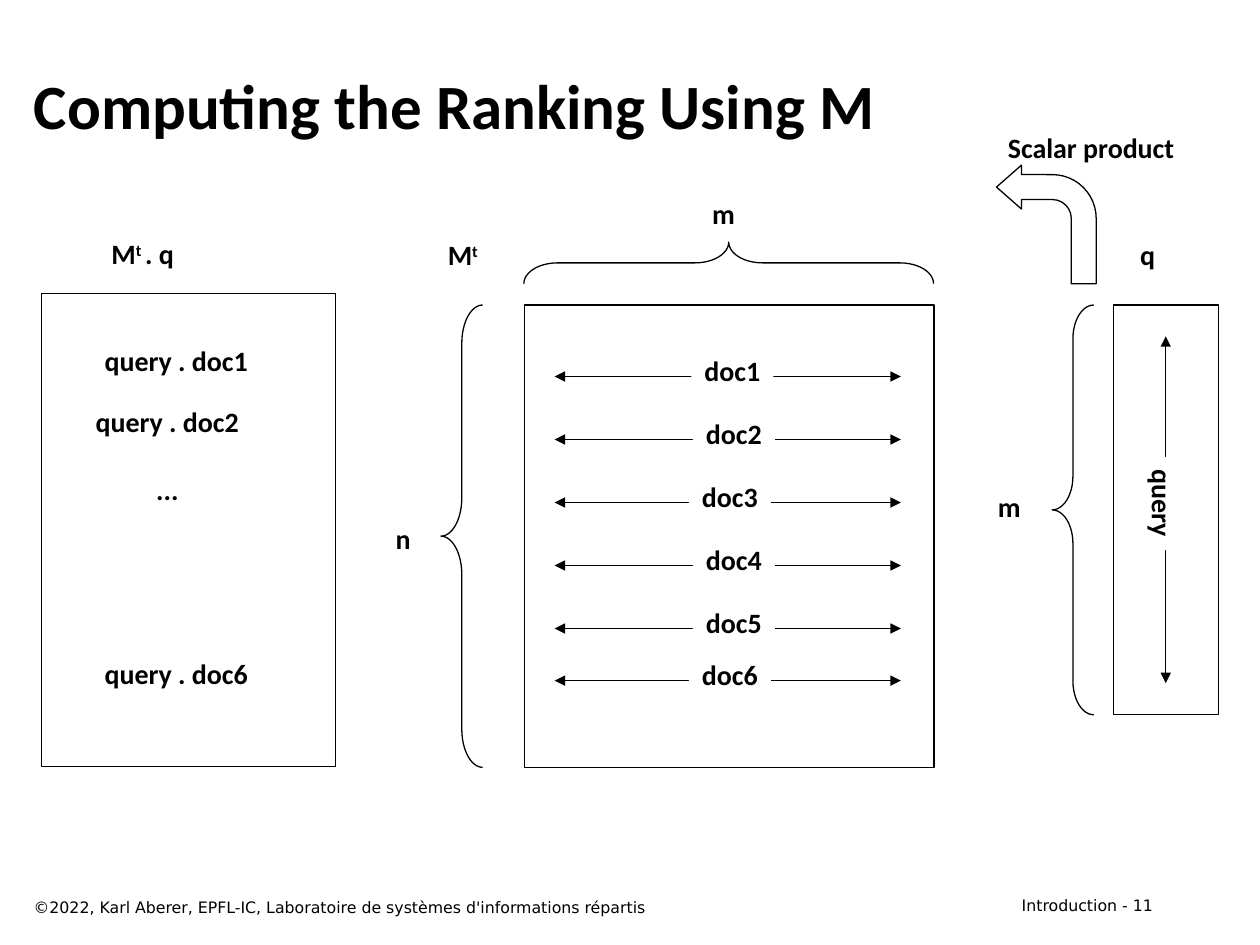
from typing import NamedTuple, Optional

from lxml import etree
from pptx import Presentation
from pptx.dml.color import RGBColor
from pptx.enum.shapes import MSO_CONNECTOR, MSO_SHAPE
from pptx.enum.text import MSO_ANCHOR, PP_ALIGN
from pptx.oxml.ns import qn
from pptx.util import Cm, Pt

RECTANGLE = MSO_SHAPE.RECTANGLE
LEFT_BRACE = MSO_SHAPE.LEFT_BRACE
BENT_ARROW = MSO_SHAPE.BENT_ARROW
STRAIGHT = MSO_CONNECTOR.STRAIGHT
LEFT, CENTER, RIGHT = PP_ALIGN.LEFT, PP_ALIGN.CENTER, PP_ALIGN.RIGHT
MIDDLE = MSO_ANCHOR.MIDDLE

COLORS = {"ink": "000000", "paper": "FFFFFF"}
BODY_FONT, FOOTER_FONT = "Calibri", "DejaVu Sans"
LINE_WIDTH = Pt(0.75)
LABEL_HEIGHT = 0.94
TITLE_ONLY_LAYOUT = 5


class Outline(NamedTuple):
    kind: int
    left: float
    top: float
    width: float
    height: float
    rotation: int = 0
    adjustments: tuple = ()
    flipped: bool = False


class Label(NamedTuple):
    """Text between a pair of ^ marks is superscript."""
    text: str
    left: float
    top: float
    width: float
    height: float = LABEL_HEIGHT
    rotation: int = 0
    fill: Optional[str] = None


class DocumentRow(NamedTuple):
    arrow_y: float
    label_left: float


OUTLINES = [
    Outline(RECTANGLE, 22.45, 6.15, 2.11, 8.26),
    Outline(RECTANGLE, 10.57, 6.15, 8.26, 9.32),
    Outline(RECTANGLE, 0.84, 5.92, 5.92, 9.53),
    Outline(LEFT_BRACE, 21.21, 6.15, 0.84, 8.26, adjustments=(0.81, 0.5)),
    Outline(LEFT_BRACE, 14.27, 1.17, 0.84, 8.26, 90, (0.81, 0.5)),
    Outline(LEFT_BRACE, 8.89, 6.15, 0.84, 9.32, adjustments=(0.92, 0.5)),
    Outline(BENT_ARROW, 20.09, 3.33, 2.01, 2.39,
            adjustments=(0.25, 0.22, 0.25, 0.44), flipped=True),
]

LABELS = [
    Label("query", 22.5, 9.68, 1.88, rotation=90, fill="paper"),
    Label("query . doc1", 1.8, 6.81, 3.51),
    Label("query . doc2\n...", 1.52, 8.03, 3.71, 2.31),
    Label("query . doc6", 1.83, 13.11, 3.45),
    Label("M^t^", 8.76, 4.67, 1.14),
    Label("q", 22.73, 4.67, 0.81),
    Label("M^t ^. q", 1.07, 4.65, 3.61),
    Label("m", 19.86, 9.75, 0.97),
    Label("m", 14.1, 3.84, 0.97),
    Label("n", 7.72, 10.39, 0.81),
    Label("Scalar product", 20.04, 2.51, 3.91),
]

FIRST_ROW_Y, ROW_STEP, LAST_ROW_Y = 7.59, 1.27, 13.72
LABEL_LEFTS = [13.94, 13.97, 13.89, 13.97, 13.97, 13.89]
ROW_YS = [FIRST_ROW_Y + ROW_STEP * index for index in range(5)] + [LAST_ROW_Y]
DOCUMENT_ROWS = [DocumentRow(*row) for row in zip(ROW_YS, LABEL_LEFTS)]


def color(name: str) -> RGBColor:
    return RGBColor.from_string(COLORS[name])


def write_text(frame, text: str, *, size: float = 16, font: str = BODY_FONT,
               bold: bool = True, align=CENTER, wrap: bool = False,
               space_before: float = 0) -> None:
    """Fill a frame, one paragraph per line; ^ switches superscript on and off."""
    frame.word_wrap = wrap
    for index, line in enumerate(text.split("\n")):
        para = frame.add_paragraph() if index else frame.paragraphs[0]
        para.alignment = align
        if index:
            para.space_before = Pt(space_before)
        for position, piece in enumerate(line.split("^")):
            if not piece:
                continue
            span = para.add_run()
            span.text = piece
            span.font.size = Pt(size)
            span.font.name = font
            span.font.bold = bold
            span.font.color.rgb = color("ink")
            if position % 2:
                span.font._element.set("baseline", "30000")


def add_outline(page, outline: Outline) -> None:
    shape = page.shapes.add_shape(
        outline.kind, Cm(outline.left), Cm(outline.top),
        Cm(outline.width), Cm(outline.height))
    shape.shadow.inherit = False
    shape.fill.background()
    shape.line.color.rgb = color("ink")
    shape.line.width = LINE_WIDTH
    shape.rotation = outline.rotation
    for index, value in enumerate(outline.adjustments):
        shape.adjustments[index] = value
    if outline.flipped:
        shape._element.spPr.find(qn("a:xfrm")).set("flipH", "1")


def add_label(page, label: Label, **text_format) -> None:
    box = page.shapes.add_textbox(
        Cm(label.left), Cm(label.top), Cm(label.width), Cm(label.height))
    box.rotation = label.rotation
    if label.fill:
        box.fill.solid()
        box.fill.fore_color.rgb = color(label.fill)
    write_text(box.text_frame, label.text, **text_format)


def add_double_arrow(page, start: tuple, end: tuple) -> None:
    arrow = page.shapes.add_connector(
        STRAIGHT, *(Cm(value) for value in start + end))
    arrow.line.color.rgb = color("ink")
    arrow.line.width = LINE_WIDTH
    line = arrow.line._get_or_add_ln()
    for end_tag in ("a:headEnd", "a:tailEnd"):
        etree.SubElement(line, qn(end_tag), type="triangle")
    etree.SubElement(arrow._element.spPr, qn("a:effectLst"))


def add_title(page, text: str) -> None:
    title = page.shapes.title
    title.left, title.top = Cm(0.43), Cm(0.84)
    title.width, title.height = Cm(23.06), Cm(2.54)
    title.text_frame.vertical_anchor = MIDDLE
    write_text(title.text_frame, text, size=36, align=LEFT, wrap=True)


def main() -> None:
    deck = Presentation()
    deck.slide_width, deck.slide_height = Cm(25.4), Cm(19.05)
    page = deck.slides.add_slide(deck.slide_layouts[TITLE_ONLY_LAYOUT])

    add_title(page, "Computing the Ranking Using M")
    for outline in OUTLINES:
        add_outline(page, outline)

    add_double_arrow(page, (23.5, 6.78), (23.5, 13.77))
    for number, row in enumerate(DOCUMENT_ROWS, start=1):
        add_double_arrow(page, (18.16, row.arrow_y), (11.18, row.arrow_y))
        add_label(page, Label(f"doc{number}", row.label_left,
                              row.arrow_y - 0.58, 1.65, fill="paper"))
    for label in LABELS:
        add_label(page, label, space_before=19.5)

    footer_format = {"size": 9, "font": FOOTER_FONT, "bold": False, "wrap": True}
    add_label(page, Label("Introduction - 11", 18.21, 17.93, 5.28, 0.64),
              align=RIGHT, **footer_format)
    add_label(page, Label("©2022, Karl Aberer, EPFL-IC, Laboratoire de "
                          "systèmes d'informations répartis",
                          0.43, 17.98, 16.31, 0.64),
              align=LEFT, **footer_format)

    deck.save("out.pptx")


if __name__ == "__main__":
    main()
